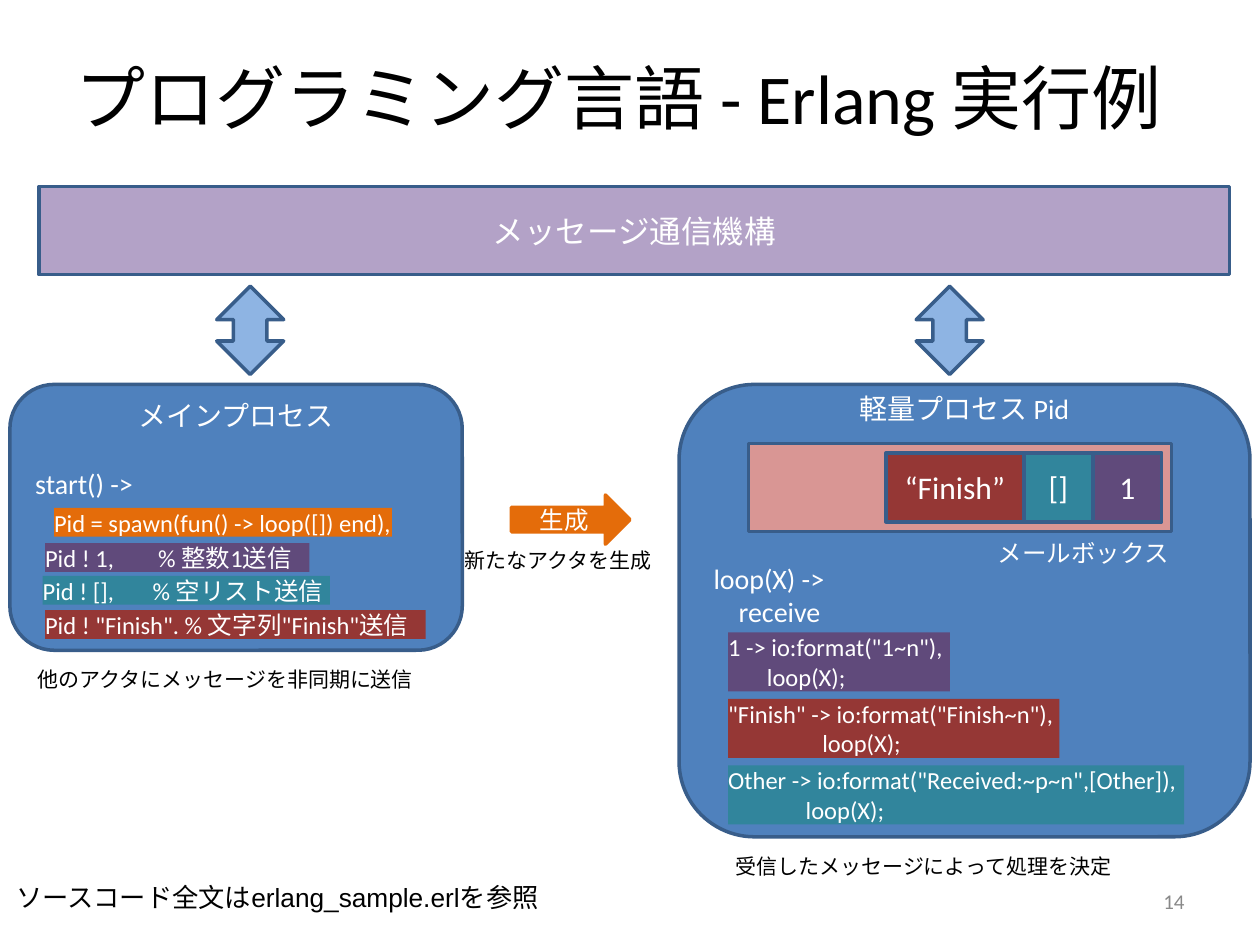
from lxml import etree
from pptx import Presentation
from pptx import util as u
from pptx.dml.color import RGBColor
from pptx.enum import shapes, text
from pptx.oxml.ns import qn

KIND = shapes.MSO_SHAPE
ALIGN = text.PP_ALIGN
ANCHOR = text.MSO_ANCHOR
WHITE, BLACK, EDGE = "FFFFFF", "000000", "385D8A"
BLUE, PURPLE, TEAL, RED, ORANGE = "4F81BD", "604A7B", "31859C", "953735", "E46C0A"
CODE = {"name": "Calibri", "size": u.Pt(14)}
NOTE = {"name": "Arial", "size": u.Pt(12)}
HEAD = {"name": "Calibri", "size": u.Pt(16)}
BIG = {"name": "Calibri", "size": u.Pt(18)}
MID = {"alignment": ALIGN.CENTER}


def color(code):
    return RGBColor.from_string(code)


def assign(item, vals):
    for key, val in vals.items():
        setattr(item, key, val)


def place(box, x, y, w, h):
    """Return a box given relative to the corner of another one."""
    return box[0] + x, box[1] + y, w, h


def write(shape, lines, font, ink, frame=None, tab=None):
    """Fill a shape with (text, paragraph format) lines."""
    tf = shape.text_frame
    assign(tf, {"word_wrap": True, "vertical_anchor": ANCHOR.MIDDLE, **(frame or {})})
    for i, (words, form) in enumerate(lines):
        par = tf.add_paragraph() if i else tf.paragraphs[0]
        par.text = words
        assign(par, {"alignment": ALIGN.LEFT, **form})
        if tab:
            stops = etree.SubElement(par._p.get_or_add_pPr(), qn("a:tabLst"))
            etree.SubElement(stops, qn("a:tab"), pos=str(u.Cm(tab)), algn="l")
        assign(par.font, font)
        par.font.color.rgb = color(ink)


def label(slide, box, words, font, ink=BLACK, form=None, frame=None):
    shape = slide.shapes.add_textbox(*map(u.Cm, box))
    write(shape, [(words, form or {})], font, ink, frame)


def note(slide, box, words, font=NOTE, ink=BLACK):
    label(slide, box, words, font, ink,
          frame={"word_wrap": False, "vertical_anchor": ANCHOR.TOP})


def block(slide, kind, box, fill, edge=EDGE):
    shape = slide.shapes.add_shape(kind, *map(u.Cm, box))
    shape.shadow.inherit = False
    shape.fill.solid()
    shape.fill.fore_color.rgb = color(fill)
    if edge:
        shape.line.color.rgb = color(edge)
        shape.line.width = u.Pt(2)
    else:
        shape.line.fill.background()
    return shape


def chip(slide, box, fill, lines, tab=None):
    """Code on a coloured band."""
    shape = block(slide, KIND.RECTANGLE, box, fill, None)
    frame = {"margin_" + side: 0 for side in ("left", "top", "right", "bottom")}
    frame.update(word_wrap=False, vertical_anchor=ANCHOR.TOP)
    write(shape, [(line, {}) for line in lines], CODE, WHITE, frame, tab)


def draw_bus(slide, box, arrows):
    shape = block(slide, KIND.RECTANGLE, box, "B3A2C7")
    write(shape, [("メッセージ通信機構", MID)], BIG, WHITE)
    for x in arrows:
        block(slide, KIND.UP_DOWN_ARROW, place(box, x, 2.01, 1.35, 1.78), "8EB4E3")


def draw_main(slide, box):
    shape = block(slide, KIND.ROUNDED_RECTANGLE, box, BLUE)
    lines = [("メインプロセス", MID), ("start() ->", {"space_before": u.Pt(19.5)})]
    write(shape, lines, HEAD, WHITE, {"margin_bottom": u.Cm(2.87)})
    # Spawn, then one send for each kind of message
    for x, y, w, fill, line, tab in (
        (0.89, 2.49, 6.81, ORANGE, "Pid = spawn(fun() -> loop([]) end),", None),
        (0.71, 3.2, 5.33, PURPLE, "Pid ! 1,\t% 整数1送信", 2.28),
        (0.66, 3.86, 5.79, TEAL, "Pid ! [],\t% 空リスト送信", 2.22),
        (0.71, 4.55, 7.67, RED, 'Pid ! "Finish". % 文字列"Finish"送信', None),
    ):
        chip(slide, place(box, x, y, w, 0.58), fill, [line], tab)
    note(slide, place(box, 0.31, 5.56, 8.13, 0.76), "他のアクタにメッセージを非同期に送信")


def draw_spawn(slide, box):
    shape = block(slide, KIND.RIGHT_ARROW, box, ORANGE, ORANGE)
    write(shape, [("生成", MID)], CODE, WHITE)
    note(slide, place(box, -1.19, 0.94, 4.32, 0.76), "新たなアクタを生成")


def draw_mail(slide, box):
    block(slide, KIND.RECTANGLE, box, "D99694")
    # Queue, filled from the right
    right = 8.33
    for words, w, fill in (("1", 1.39, PURPLE), ("[]", 1.39, TEAL), ("“Finish”", 2.78, RED)):
        right -= w
        cell = block(slide, KIND.RECTANGLE, place(box, right, 0.19, w, 1.39), fill)
        write(cell, [(words, MID)], BIG, WHITE)
    note(slide, place(box, 4.77, 1.78, 3.96, 0.86), "メールボックス",
         {**NOTE, "size": u.Pt(14)}, WHITE)


def draw_light(slide, box):
    shape = block(slide, KIND.ROUNDED_RECTANGLE, box, BLUE)
    lines = [("軽量プロセス Pid", MID), ("loop(X) ->", {"space_before": u.Pt(78)}),
             ("    receive", {})]
    write(shape, lines, HEAD, WHITE, {"margin_bottom": u.Cm(4.19)})
    # One clause for each kind of message
    for i, (w, fill, head, pad) in enumerate((
        (4.47, PURPLE, '1 -> io:format("1~n"),', 7),
        (6.68, RED, '"Finish" -> io:format("Finish~n"),', 17),
        (9.19, TEAL, 'Other -> io:format("Received:~p~n",[Other]),', 14),
    )):
        chip(slide, place(box, 0.99, 5 + 1.34 * i, w, 1.19), fill,
             [head, " " * pad + "loop(X);"])
    draw_mail(slide, place(box, 1.4, 1.19, 8.53, 1.78))
    note(slide, place(box, 0.89, 9.34, 8.64, 0.76), "受信したメッセージによって処理を決定")


def main():
    prs = Presentation()
    prs.slide_width, prs.slide_height = u.Cm(25.4), u.Cm(19.05)
    slide = prs.slides.add_slide(prs.slide_layouts[6])
    # Title
    label(slide, (1.27, 0.76, 22.86, 2.36), "プログラミング言語 - Erlang 実行例",
          {"name": "Calibri", "size": u.Pt(40)})
    # Processes and the bus that joins them
    draw_light(slide, (13.69, 7.75, 11.51, 9.12))
    draw_main(slide, (0.2, 7.75, 9.12, 5.36))
    draw_bus(slide, (0.79, 3.76, 24, 1.78), (3.58, 17.68))
    draw_spawn(slide, (10.31, 9.98, 2.39, 0.99))
    # Footer
    note(slide, (0.08, 17.65, 11.3, 0.89), "ソースコード全文はerlang_sample.erlを参照",
         {**NOTE, "size": u.Pt(15)})
    label(slide, (18.21, 17.65, 5.92, 1.02), "14", {"name": "Calibri", "size": u.Pt(12)},
          "898989", {"alignment": ALIGN.RIGHT})
    prs.save("out.pptx")


if __name__ == "__main__":
    main()
